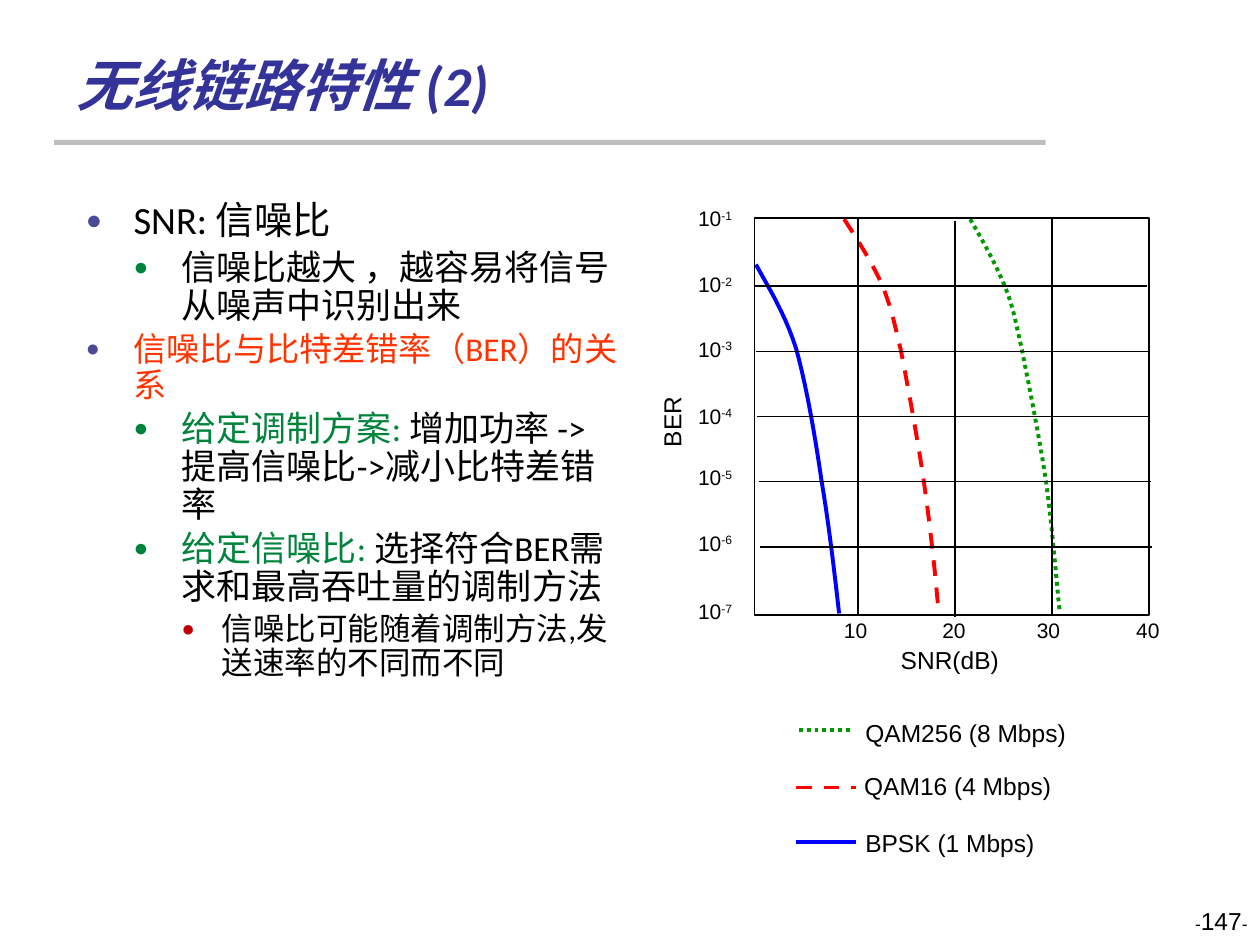
from lxml.etree import SubElement
from pptx import Presentation
from pptx.dml.color import RGBColor
from pptx.enum.dml import MSO_LINE
from pptx.enum.shapes import MSO_CONNECTOR, MSO_SHAPE
from pptx.enum.text import MSO_ANCHOR, MSO_AUTO_SIZE, PP_ALIGN
from pptx.oxml.ns import qn
from pptx.util import Pt

BLACK = RGBColor(0, 0, 0)
GRAY = RGBColor(0xBF, 0xBF, 0xBF)
NAVY = RGBColor(0x33, 0x33, 0x99)
INDIGO = RGBColor(0x4A, 0x4A, 0x97)
GREEN = RGBColor(0x00, 0x84, 0x3C)
CRIMSON = RGBColor(0xC0, 0, 0)
ORANGE = RGBColor(0xFF, 0x33, 0)
BLUE = RGBColor(0, 0, 0xFF)
RED = RGBColor(0xFF, 0, 0)
LEAF = RGBColor(0, 0x99, 0)

LEVELS = [(27.36, 27.36, INDIGO), (54.72, 27.36, GREEN), (77.76, 23.04, CRIMSON)]
POINTS = [
    (0, 22, [("SNR: 信噪比", BLACK)]),
    (1, 20, [("信噪比越大 ，越容易将信号从噪声中识别出来", BLACK)]),
    (0, 19, [("信噪比与比特差错率（BER）的关系", ORANGE)]),
    (1, 20, [("给定调制方案: ", GREEN), ("增加功率 -> 提高信噪比->减小比特差错率", BLACK)]),
    (1, 20, [("给定信噪比: ", GREEN), ("选择符合BER需求和最高吞吐量的调制方法", BLACK)]),
    (2, 18, [("信噪比可能随着调制方法,发送速率的不同而不同", BLACK)]),
]
CURVES = [
    (BLUE, None, [
        (432, 151.2), (439.9, 165.6), (448.6, 179.3), (455, 199.4),
        (460.8, 220.3), (465.8, 249.1), (469.4, 274.3),
        (473.8, 299.5), (478.1, 337.7), (479.5, 350.6)]),
    (RED, MSO_LINE.DASH, [
        (482.4, 125.3), (490.3, 137.5), (498.2, 149.8), (504, 162.7),
        (509, 175), (510.5, 182.2), (514.8, 200.2),
        (518.4, 218.9), (524.2, 249.8), (527.8, 274.3),
        (531.4, 299.5), (534.2, 324.7), (536.4, 350.6)]),
    (LEAF, MSO_LINE.ROUND_DOT, [
        (554.4, 125.3), (561.6, 137.5), (568.8, 150.5), (573.8, 162.7),
        (578.9, 175), (579.6, 180.7), (583.9, 199.4),
        (587.5, 218.2), (594, 249.8), (597.6, 274.3),
        (601.2, 299.5), (604.1, 337), (605.5, 349.2)]),
]
LEGEND = [
    (LEAF, MSO_LINE.ROUND_DOT, 456.5, 487.4, 416.9, "QAM256 (8 Mbps)", 487.4, 406.8),
    (RED, MSO_LINE.DASH, 455, 488.9, 450, "QAM16 (4 Mbps)", 486.7, 437),
    (BLUE, None, 455, 488.9, 481, "BPSK (1 Mbps)", 487.4, 469.4),
]
STEPS = 10


def write(para, text, size=12, color=BLACK, face="Arial", bold=False, slant=False, base=0):
    run = para.add_run()
    run.text = text
    font = run.font
    font.size = Pt(size)
    font.name = face
    font.bold = bold
    font.italic = slant
    font.color.rgb = color
    if base:
        run._r.get_or_add_rPr().set("baseline", str(base * 1000))


def bend(knots):
    for i in range(0, len(knots) - 1, 3):
        part = knots[i:i + 4]
        for k in range(1, STEPS + 1):
            t = k / STEPS
            mix = ((1 - t) ** 3, 3 * t * (1 - t) ** 2, 3 * t * t * (1 - t), t ** 3)
            yield tuple(Pt(sum(m * p[axis] for m, p in zip(mix, part))) for axis in (0, 1))


class Page:
    face = "Calibri"
    thin = 0.75
    thick = 2.25

    def __init__(self, slide):
        self.slide = slide
        self.shapes = slide.shapes

    def place(self, shape, left, top, wide, high):
        shape.left, shape.top = Pt(left), Pt(top)
        shape.width, shape.height = Pt(wide), Pt(high)

    def title(self, text):
        head = self.shapes.title
        self.place(head, 36.7, 20.2, 594, 56.2)
        head.text_frame.vertical_anchor = MSO_ANCHOR.MIDDLE
        para = head.text_frame.paragraphs[0]
        para.alignment = PP_ALIGN.LEFT
        write(para, text, size=32, color=NAVY, face=self.face, bold=True, slant=True)

    def body(self, points):
        box = self.slide.placeholders[1]
        self.place(box, 41.8, 111.6, 318.2, 332.6)
        frame = box.text_frame
        frame.auto_size = MSO_AUTO_SIZE.NONE
        frame.vertical_anchor = MSO_ANCHOR.TOP
        for i, (level, size, parts) in enumerate(points):
            para = frame.add_paragraph() if i else frame.paragraphs[0]
            para.level = level
            para.line_spacing = 0.9
            para.space_before = Pt(size * 0.2 if i else 0)
            self.bullet(para, *LEVELS[level])
            for text, color in parts:
                write(para, text, size=size, color=color, face=self.face)

    def bullet(self, para, left, hang, color):
        props = para._p.get_or_add_pPr()
        props.set("marL", str(Pt(left)))
        props.set("indent", str(-Pt(hang)))
        tint = SubElement(props, qn("a:buClr"))
        SubElement(tint, qn("a:srgbClr")).set("val", str(color))
        SubElement(props, qn("a:buSzPct")).set("val", "70000")
        SubElement(props, qn("a:buFont")).set("typeface", "Arial")
        SubElement(props, qn("a:buChar")).set("char", "●")

    def label(self, parts, left, top, wide, high=21.6, turn=0, align=PP_ALIGN.LEFT, **style):
        box = self.shapes.add_textbox(Pt(left), Pt(top), Pt(wide), Pt(high))
        box.rotation = turn
        box.text_frame.word_wrap = False
        para = box.text_frame.paragraphs[0]
        para.alignment = align
        for text, extra in parts:
            write(para, text, **{**style, **extra})

    def rect(self, left, top, wide, high, fill=None):
        box = self.shapes.add_shape(MSO_SHAPE.RECTANGLE, Pt(left), Pt(top), Pt(wide), Pt(high))
        box.shadow.inherit = False
        if fill is None:
            box.fill.background()
            self.stroke(box.line, BLACK, self.thin)
        else:
            box.fill.solid()
            box.fill.fore_color.rgb = fill
            box.line.fill.background()

    def stroke(self, line, color, width, dash=None):
        line.color.rgb = color
        line.width = Pt(width)
        if dash:
            line.dash_style = dash

    def line(self, left, top, right, low, color=BLACK, width=thin, dash=None):
        link = self.shapes.add_connector(
            MSO_CONNECTOR.STRAIGHT, Pt(left), Pt(top), Pt(right), Pt(low))
        self.stroke(link.line, color, width, dash)
        SubElement(link._element.spPr, qn("a:effectLst"))

    def curve(self, color, dash, knots):
        start = knots[0]
        pen = self.shapes.build_freeform(Pt(start[0]), Pt(start[1]))
        pen.add_line_segments(list(bend(knots)), close=False)
        shape = pen.convert_to_shape()
        shape.shadow.inherit = False
        shape.fill.background()
        self.stroke(shape.line, color, self.thick, dash)


def main():
    deck = Presentation()
    deck.slide_width, deck.slide_height = Pt(720), Pt(540)
    page = Page(deck.slides.add_slide(deck.slide_layouts[1]))
    page.rect(31, 80, 566.6, 2.9, GRAY)
    page.label([("-", {}), ("147", {"size": 14}), ("-", {})], 552, 514, 168, 26,
               align=PP_ALIGN.RIGHT, size=10)
    page.title("无线链路特性 (2)")
    page.body(POINTS)

    for curve in CURVES:
        page.curve(*curve)
    page.rect(431.3, 124.6, 225.4, 226.8)
    for i in range(5):
        left, top = 431.3 + 0.72 * i, 163.4 + 37.3 * i
        page.line(left, top, left + 224, top)
    for i, top in enumerate((124.6, 126, 125.3)):
        left = 490.3 + 55.44 * i
        page.line(left, top, left, top + 226.8)

    for i, left in enumerate((475.2, 531.4, 585.4, 642.2), 1):
        page.label([(str(10 * i), {})], left, 349.6, 28.8)
    for i, top in enumerate((113.8, 151.9, 188.6, 226.8, 262.1, 299.5, 338.4), 1):
        page.label([("10", {}), (f"-{i}", {"base": 30})], 391.8, top, 35.3)
    page.label([("SNR(dB)", {})], 507.6, 365, 70.6, 23.8, size=14)
    page.label([("BER", {})], 362.2, 229, 43.2, 23.8, turn=270, size=14)

    for color, dash, left, right, level, text, start, top in LEGEND:
        page.line(left, level, right, level, color, page.thick, dash)
        page.label([(text, {})], start, top, 9 * len(text), 23.8, size=14)
    deck.save("out.pptx")


if __name__ == "__main__":
    main()
